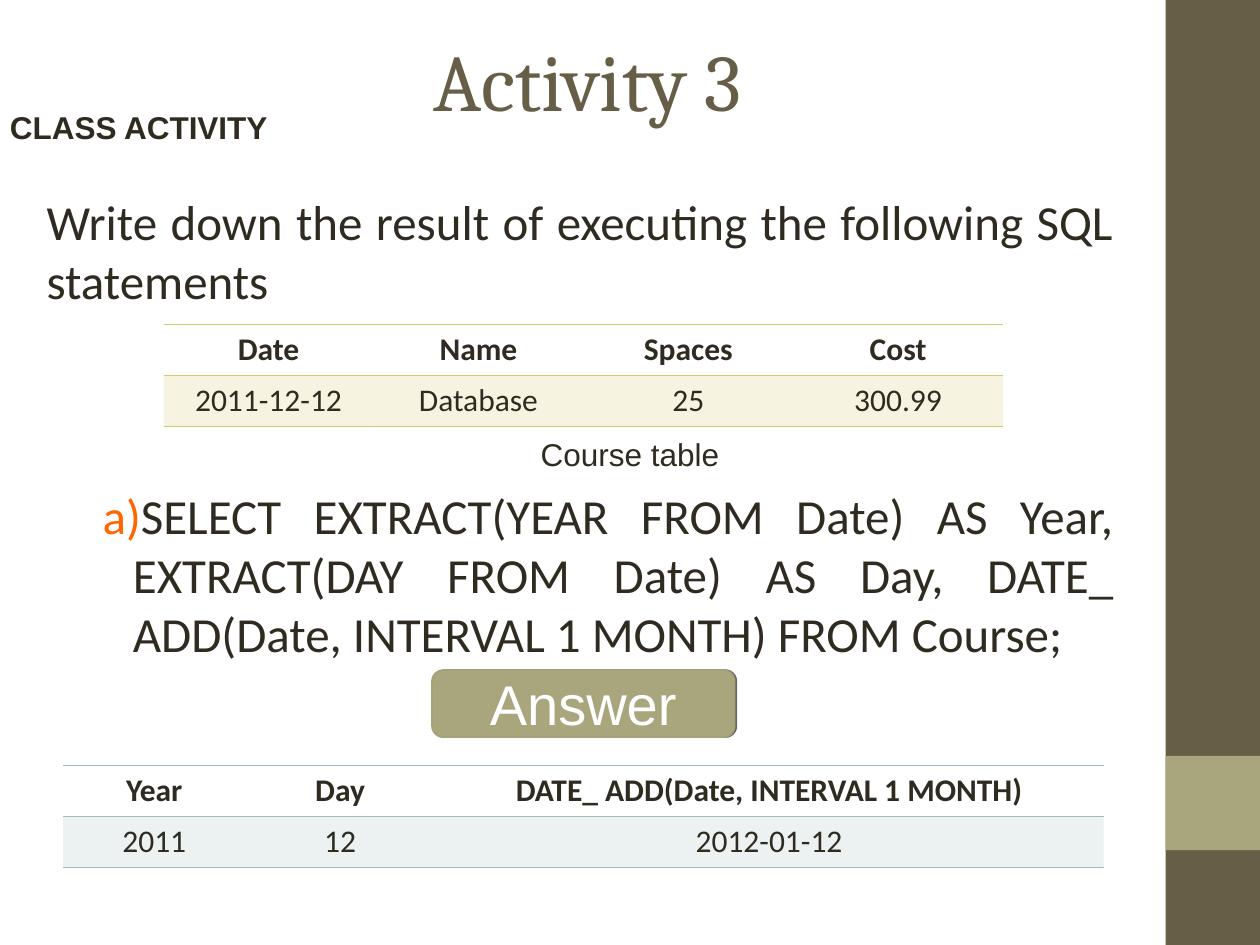
from lxml.etree import SubElement as Sub
from pptx import Presentation
from pptx.dml.color import RGBColor
from pptx.enum.shapes import MSO_SHAPE as Kind
from pptx.enum.text import MSO_ANCHOR as Anchor, PP_ALIGN as Align
from pptx.oxml.ns import qn
from pptx.util import Cm, Pt

INK, BROWN, OLIVE = "2F2B20", "675E47", "A9A57C"


def paint(part, hue):
    """Colour a font or a fill with a hex string."""
    if hasattr(part, "solid"):
        part.solid()
        part.fore_color.rgb = RGBColor.from_string(hue)
    else:
        part.color.rgb = RGBColor.from_string(hue)


def write(frame, text, face, size, hue=INK, align=Align.CENTER, bold=False):
    """Put one formatted paragraph in a text frame."""
    para = frame.paragraphs[0]
    para.text = text
    para.alignment = align
    look = {"name": face, "size": Pt(size), "bold": bold}
    for key, val in look.items():
        setattr(para.font, key, val)
    paint(para.font, hue)
    return para


deck = Presentation()
deck.slide_width, deck.slide_height = Cm(25.4), Cm(19.05)
slide = deck.slides.add_slide(deck.slide_layouts[5])
shapes = slide.shapes

# Side bars
for top, high, hue in [(0, 19.05, BROWN), (15.24, 1.9, OLIVE)]:
    bar = shapes.add_shape(Kind.RECTANGLE, Cm(23.5), Cm(top), Cm(1.9), Cm(high))
    bar.shadow.inherit = False
    bar.line.fill.background()
    paint(bar.fill, hue)

# Title
title = shapes.title
spot = {"left": Cm(1.27), "top": Cm(0), "width": Cm(21.16), "height": Cm(3.18)}
for key, val in spot.items():
    setattr(title, key, val)
title.text_frame.vertical_anchor = Anchor.MIDDLE
write(title.text_frame, "Activity 3", "Cambria", 46, BROWN)

# Text boxes: place, wording, face, size, alignment, bold
notes = [
    (0, 2.31, 22.7, 0.9, "CLASS ACTIVITY", "Arial", 18, Align.LEFT, True),
    (0.69, 3.73, 22, 2.6, "Write down the result of executing the following "
     "SQL statements", "Calibri", 28, Align.JUSTIFY, False),
    (9.98, 8.64, 5.44, 1.02, "Course table", "Arial", 18, Align.CENTER, False),
    (0.69, 9.67, 22, 3.8, "SELECT EXTRACT(YEAR FROM Date) AS Year, "
     "EXTRACT(DAY FROM Date) AS Day, DATE_ ADD(Date, INTERVAL 1 MONTH) "
     "FROM Course;", "Calibri", 28, Align.JUSTIFY, False),
]
for left, top, wide, high, text, face, size, align, bold in notes:
    box = shapes.add_textbox(Cm(left), Cm(top), Cm(wide), Cm(high))
    frame = box.text_frame
    frame.word_wrap = True
    if bold:
        pads = {"margin_left": Cm(0.2), "margin_right": Cm(0.2),
                "margin_top": 0, "margin_bottom": 0}
        for key, val in pads.items():
            setattr(frame, key, val)
        frame.paragraphs[0].line_spacing = Pt(18)
    if text.startswith("SELECT"):
        # Lettered list item with an orange mark
        props = frame.paragraphs[0]._p.get_or_add_pPr()
        props.set("marL", str(Cm(1.74)))
        props.set("indent", str(-Cm(0.61)))
        Sub(Sub(props, qn("a:buClr")), qn("a:srgbClr"), val="FF6600")
        Sub(props, qn("a:buFont"), typeface="Calibri")
        Sub(props, qn("a:buAutoNum"), type="alphaLcParenR")
    write(frame, text, face, size, align=align, bold=bold)

# Course table and result table: place, tint, column widths, rows
grids = [
    (3.3, 6.53, "D2CB6C", [4.23] * 4,
     [["Date", "Name", "Spaces", "Cost"],
      ["2011-12-12", "Database", "25", "300.99"]]),
    (1.27, 15.42, "9CBEBD", [3.68, 3.81, 13.49],
     [["Year", "Day", "DATE_ ADD(Date, INTERVAL 1 MONTH)"],
      ["2011", "12", "2012-01-12"]]),
]
for left, top, tint, wides, rows in grids:
    table = shapes.add_table(len(rows), len(wides), Cm(left), Cm(top),
                             Cm(sum(wides)), Cm(2.06)).table
    table.horz_banding = False
    for col, wide in zip(table.columns, wides):
        col.width = Cm(wide)
    for r, row in enumerate(rows):
        for c, text in enumerate(row):
            cell = table.cell(r, c)
            props = cell._tc.get_or_add_tcPr()
            for side in "LR":
                Sub(Sub(props, qn(f"a:ln{side}"), w="0"), qn("a:noFill"))
            for side in "TB":
                edge = Sub(props, qn(f"a:ln{side}"), w=str(Pt(0.45)))
                Sub(Sub(edge, qn("a:solidFill")), qn("a:srgbClr"), val=tint)
            if r == 0:
                cell.fill.background()
            else:
                paint(cell.fill, tint)
                shade = props.find(qn("a:solidFill")).find(qn("a:srgbClr"))
                Sub(shade, qn("a:alpha"), val="20000")
            write(cell.text_frame, text, "Calibri", 18, bold=r == 0)

# Answer button with a slight shadow to the right
key = shapes.add_shape(Kind.ROUNDED_RECTANGLE, Cm(8.71), Cm(13.51), Cm(6.1), Cm(1.35))
paint(key.fill, OLIVE)
paint(key.line.fill, "A6A278")
key.line.width = Pt(1)
key.shadow.inherit = False
glow = Sub(key._element.spPr.find(qn("a:effectLst")), qn("a:outerShdw"),
           dist=str(Pt(1)), dir="0")
Sub(Sub(glow, qn("a:srgbClr"), val="000000"), qn("a:alpha"), val="60000")
key.text_frame.vertical_anchor = Anchor.MIDDLE
write(key.text_frame, "Answer", "Arial", 32, "FFFFFF")

deck.save("out.pptx")
